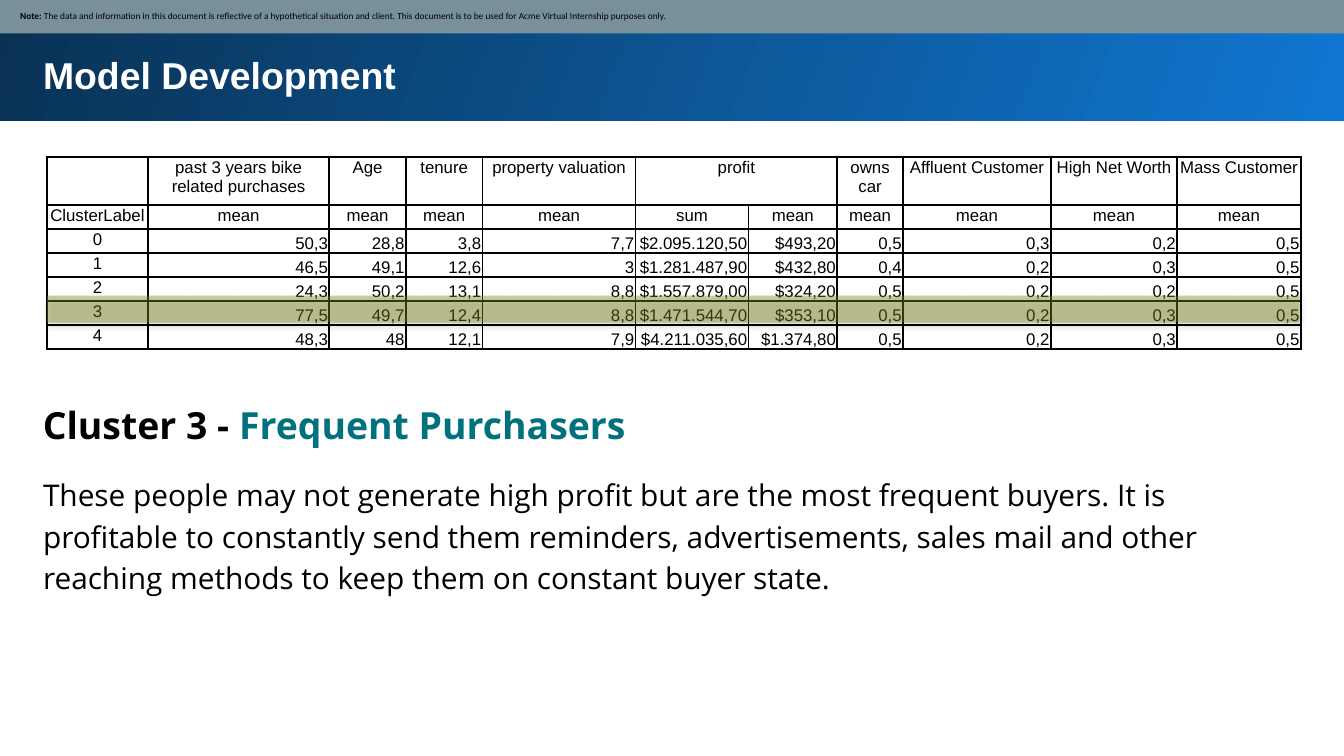
from dataclasses import dataclass
from typing import NamedTuple

from lxml.etree import SubElement
from pptx import Presentation
from pptx.dml.color import RGBColor
from pptx.enum.shapes import MSO_SHAPE
from pptx.enum.text import MSO_ANCHOR, MSO_AUTO_SIZE, PP_ALIGN
from pptx.oxml.ns import qn
from pptx.util import Inches, Pt


@dataclass(frozen=True)
class Theme:
    black: str = "000000"
    white: str = "FFFFFF"
    teal: str = "00717D"
    gray: str = "78909C"
    light: str = "1077D2"
    dark: str = "093153"
    olive: str = "7D8818"
    sans: str = "Arial"
    open: str = "Open Sans"
    small: str = "Calibri"
    head: int = 20
    body: int = 16
    cell: int = 9
    note: int = 5


class Box(NamedTuple):
    """Place and size in percent of the slide."""
    x: float
    y: float
    w: float
    h: float


class Run(NamedTuple):
    text: str
    color: str = Theme.black
    bold: bool = False


T = Theme()
WIDE, HIGH = Inches(10), Inches(5.625)

BANNER = Box(-0.2, -0.36, 100.5, 16.36)
TITLE = Box(2.2, 5.16, 93.7, 9.6)
STRIP = Box(-0.1, -0.18, 100.3, 4.62)
TABLE = Box(3.5, 20.8, 93.2, 25.42)
HEAD = Box(2.2, 50.49, 93.7, 9.96)
BODY = Box(2.2, 60.62, 93.7, 19.73)
MARK = Box(3.5, 39.11, 93.2, 3.56)

COLS = (0.75, 1.35, 0.57, 0.57, 1.14, 0.84, 0.66, 0.49, 1.1, 0.94, 0.92)
ROWS = (2, 1, 1, 1, 1, 1, 1)  # shares of the table's height
CELLS = (
    ("", "past 3 years bike related purchases", "Age", "tenure",
     "property valuation", "profit", "", "owns car", "Affluent Customer",
     "High Net Worth", "Mass Customer"),
    ("ClusterLabel", *["mean"] * 4, "sum", *["mean"] * 5),
    ("0", "50,3", "28,8", "3,8", "7,7", "$2.095.120,50", "$493,20",
     "0,5", "0,3", "0,2", "0,5"),
    ("1", "46,5", "49,1", "12,6", "3", "$1.281.487,90", "$432,80",
     "0,4", "0,2", "0,3", "0,5"),
    ("2", "24,3", "50,2", "13,1", "8,8", "$1.557.879,00", "$324,20",
     "0,5", "0,2", "0,2", "0,5"),
    ("3", "77,5", "49,7", "12,4", "8,8", "$1.471.544,70", "$353,10",
     "0,5", "0,2", "0,3", "0,5"),
    ("4", "48,3", "48", "12,1", "7,9", "$4.211.035,60", "$1.374,80",
     "0,5", "0,2", "0,3", "0,5"),
)
HEADS = 2
PROFIT = 5


def rgb(color: str) -> RGBColor:
    return RGBColor.from_string(color)


def frame(box: Box) -> tuple[int, int, int, int]:
    return (int(WIDE * box.x / 100), int(HIGH * box.y / 100),
            int(WIDE * box.w / 100), int(HIGH * box.h / 100))


def move(shape, box: Box) -> None:
    shape.left, shape.top, shape.width, shape.height = frame(box)


def write(text, *runs: Run, font: str, size: int, align=PP_ALIGN.LEFT,
          line: float = 1.0) -> None:
    para = text.paragraphs[0]
    para.alignment, para.line_spacing = align, line
    para.space_before = para.space_after = Pt(0)
    for item in runs:
        run = para.add_run()
        run.text = item.text
        run.font.name, run.font.size = font, Pt(size)
        run.font.bold = item.bold
        run.font.color.rgb = rgb(item.color)


def setup(text, anchor=MSO_ANCHOR.TOP, pad: float = 0.1) -> None:
    text.word_wrap = True
    text.auto_size = MSO_AUTO_SIZE.NONE
    text.vertical_anchor = anchor
    text.margin_left = text.margin_right = Inches(pad)
    text.margin_top = text.margin_bottom = Inches(pad)


def block(slide, box: Box, fill: str = ""):
    shape = slide.shapes.add_shape(MSO_SHAPE.RECTANGLE, *frame(box))
    shape.shadow.inherit = False
    shape.line.fill.background()
    if fill:
        shape.fill.solid()
        shape.fill.fore_color.rgb = rgb(fill)
    return shape


def edge(cell) -> None:
    props = cell._tc.get_or_add_tcPr()
    for side in ("lnL", "lnR", "lnT", "lnB"):
        line = SubElement(props, qn(f"a:{side}"), w=str(Pt(1)))
        fill = SubElement(line, qn("a:solidFill"))
        SubElement(fill, qn("a:srgbClr"), val=T.black)


def grid(slide, box: Box) -> None:
    table = slide.shapes.add_table(len(ROWS), len(COLS), *frame(box)).table
    table.first_row = table.horz_banding = False
    for col, width in zip(table.columns, COLS):
        col.width = Inches(width)
    for row, part in zip(table.rows, ROWS):
        row.height = int(HIGH * box.h / 100 * part / sum(ROWS))
    for r, words in enumerate(CELLS):
        for c, word in enumerate(words):
            cell = table.cell(r, c)
            value = r >= HEADS and c > 0
            edge(cell)
            cell.fill.background()
            cell.margin_left = cell.margin_right = Inches(0.01)
            cell.margin_top, cell.margin_bottom = Inches(0.01), 0
            cell.vertical_anchor = MSO_ANCHOR.BOTTOM if value else MSO_ANCHOR.TOP
            if word:
                write(cell.text_frame, Run(word), font=T.sans, size=T.cell,
                      align=PP_ALIGN.RIGHT if value else PP_ALIGN.CENTER)
    table.cell(0, PROFIT).merge(table.cell(0, PROFIT + 1))


def glaze(shape) -> None:
    """Make the fill see-through and add a soft drop shadow."""
    props = shape._element.spPr
    tint = props.find(qn("a:solidFill")).find(qn("a:srgbClr"))
    SubElement(tint, qn("a:alpha"), val="40000")
    drop = SubElement(props.find(qn("a:effectLst")), qn("a:outerShdw"),
                      blurRad=str(Pt(3)), dist=str(Pt(1.8)), dir="5400000",
                      rotWithShape="0")
    tone = SubElement(drop, qn("a:srgbClr"), val=T.black)
    SubElement(tone, qn("a:alpha"), val="35000")


def main() -> None:
    deck = Presentation()
    deck.slide_width, deck.slide_height = WIDE, HIGH
    slide = deck.slides.add_slide(deck.slide_layouts[1])
    title, body = slide.placeholders
    tree = slide.shapes._spTree

    # Banner and title
    banner = block(slide, BANNER)
    banner.fill.gradient()
    banner.fill.gradient_angle = 160
    for stop, color in zip(banner.fill.gradient_stops, (T.light, T.dark)):
        stop.color.rgb = rgb(color)
    tree.append(title._element)
    move(title, TITLE)
    setup(title.text_frame)
    write(title.text_frame, Run("Model Development", T.white, True),
          font=T.sans, size=T.head)

    # Cluster heading
    head = slide.shapes.add_textbox(*frame(HEAD)).text_frame
    setup(head)
    write(head, Run("Cluster 3 - ", bold=True),
          Run("Frequent Purchasers", T.teal, True),
          font=T.open, size=T.head, line=1.15)

    # Note strip
    note = block(slide, STRIP, T.gray).text_frame
    setup(note, MSO_ANCHOR.MIDDLE, 0.05)
    note.margin_left = Inches(0.16)
    write(note, Run("Note: ", bold=True),
          Run("The data and information in this document is reflective of a "
              "hypothetical situation and client. This document is to be used "
              "for Acme Virtual Internship purposes only."),
          font=T.small, size=T.note)

    # Cluster table
    grid(slide, TABLE)

    # Description, without the template's bullet
    tree.append(body._element)
    move(body, BODY)
    setup(body.text_frame)
    write(body.text_frame,
          Run("These people may not generate high profit but are the most "
              "frequent buyers. It is profitable to constantly send them "
              "reminders, advertisements, sales mail and other reaching "
              "methods to keep them on constant buyer state."),
          font=T.open, size=T.body, line=1.15)
    props = body.text_frame.paragraphs[0]._p.get_or_add_pPr()
    props.set("marL", "0")
    props.set("indent", "0")
    SubElement(props, qn("a:buNone"))

    # Highlight on cluster 3
    glaze(block(slide, MARK, T.olive))

    deck.save("out.pptx")


if __name__ == "__main__":
    main()
